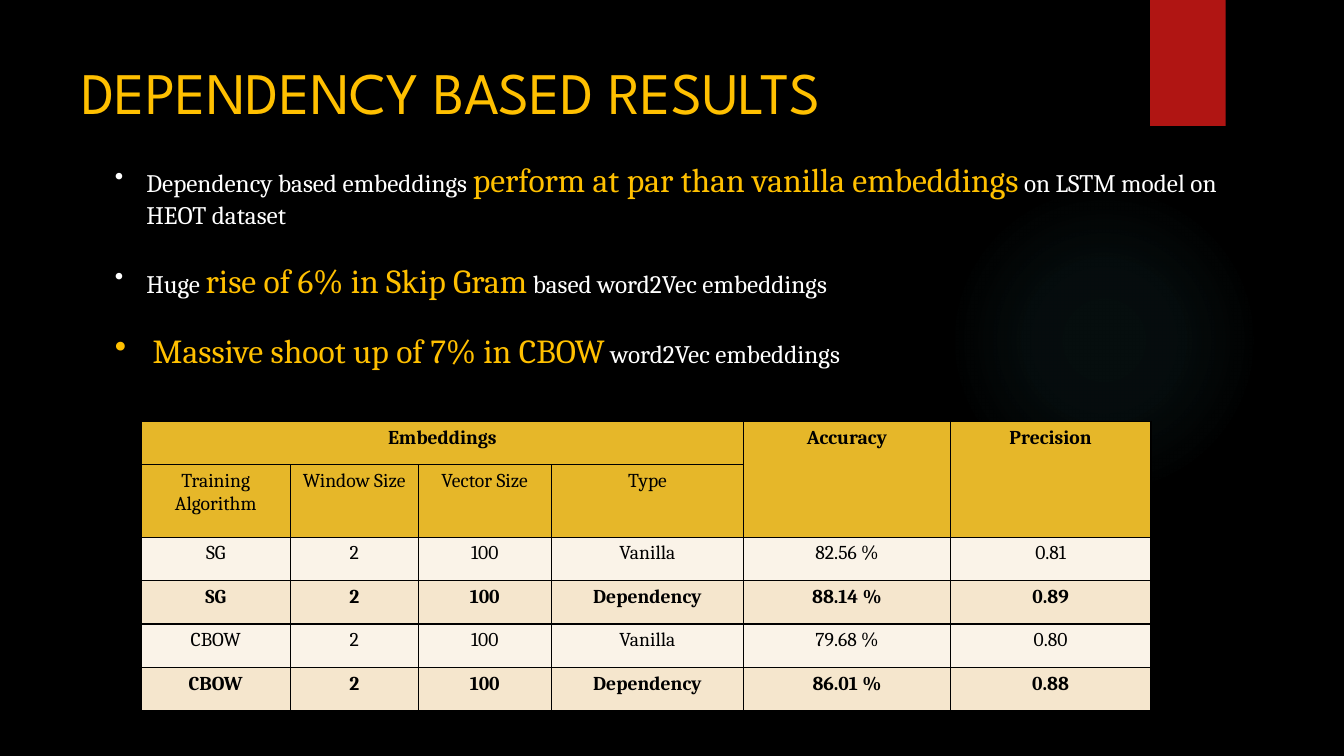
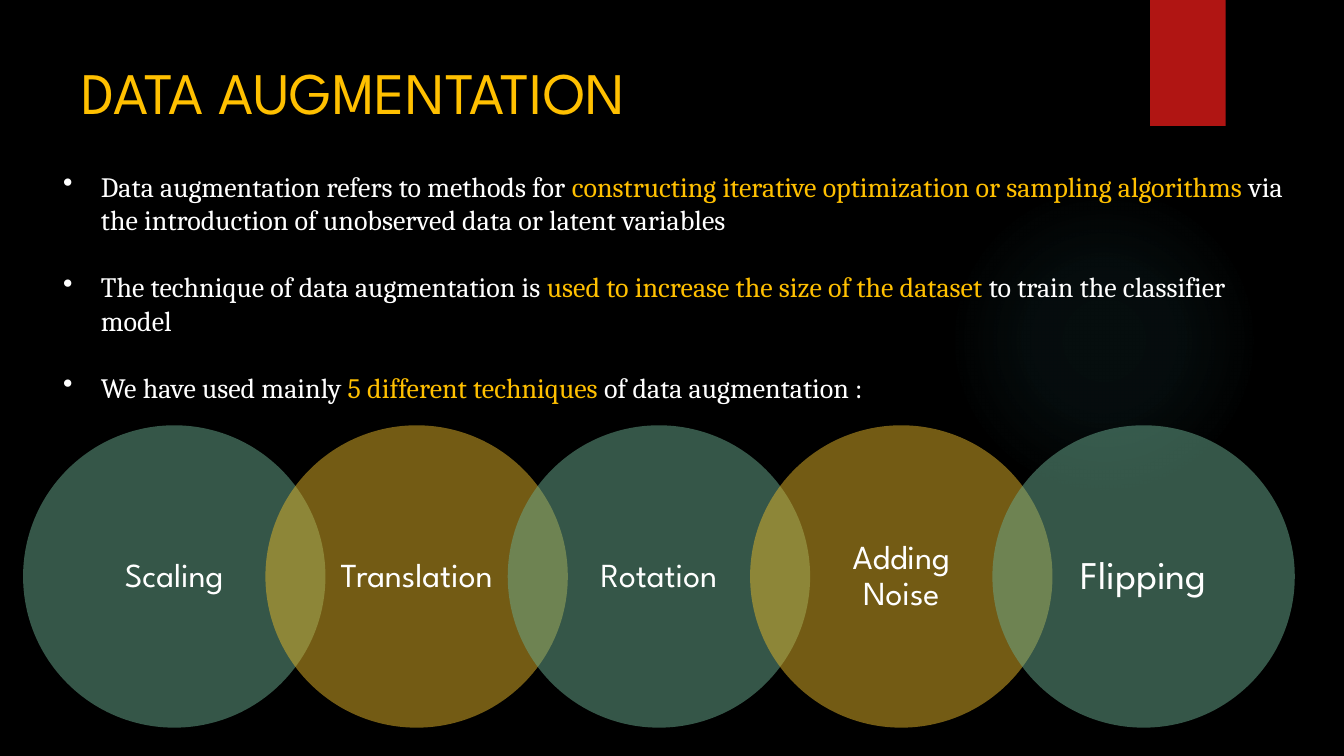
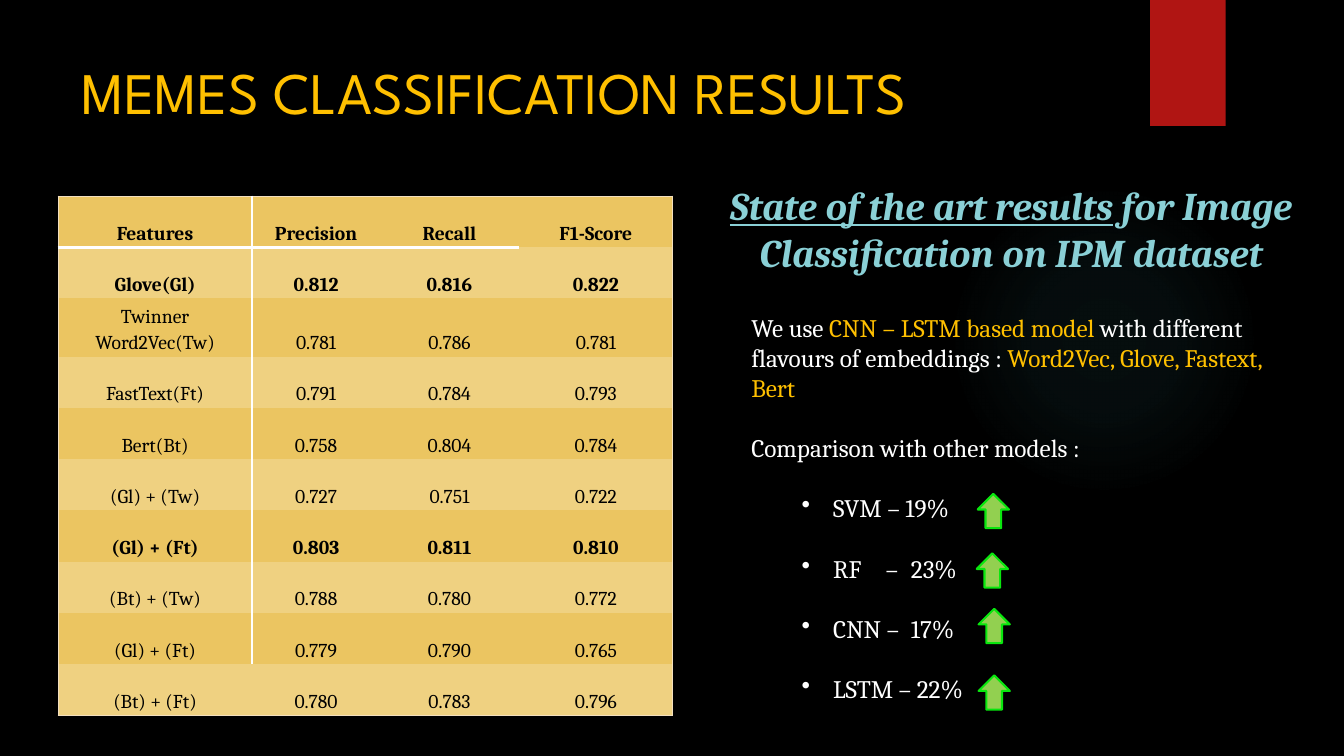
from lxml.etree import SubElement
from pptx import Presentation
from pptx.dml.color import RGBColor
from pptx.enum.shapes import MSO_SHAPE
from pptx.enum.text import MSO_ANCHOR, PP_ALIGN
from pptx.oxml import parse_xml
from pptx.oxml.ns import nsdecls, qn
from pptx.util import Pt

OVAL, RECT, ARROW = MSO_SHAPE.OVAL, MSO_SHAPE.RECTANGLE, MSO_SHAPE.UP_ARROW
TOP, MIDDLE, BOTTOM = MSO_ANCHOR.TOP, MSO_ANCHOR.MIDDLE, MSO_ANCHOR.BOTTOM
LEFT, CENTER = PP_ALIGN.LEFT, PP_ALIGN.CENTER

BLACK, WHITE, GOLD, RED = "000000", "FFFFFF", "FFC000", "B01513"
AMBER, GREEN, AQUA = "E6B729", "6AAC90", "8AD0D6"
CREAM, SAND, EDGE = "FAF3E8", "F5E6CD", "F3DFBE"
HONEY, STRAW = "EBC561", "EFD181"
NO_STYLE = "{2D5ABB26-0587-4C30-8999-92F81FD0307C}"


def tint(code):
    return RGBColor.from_string(code)


class Deck:
    serif, sans = "Cambria", "League Spartan"

    def __init__(self):
        self.show = Presentation()
        self.show.slide_width, self.show.slide_height = Pt(960), Pt(540)
        self.slide = None

    def start(self, title, tall=64):
        self.slide = self.show.slides.add_slide(self.show.slide_layouts[6])
        fill = self.slide.background.fill
        fill.solid()
        fill.fore_color.rgb = tint(BLACK)
        self.glow(677.5, 131.8, 221.8)
        self.shape(RECT, 821.5, 0, 54, 90, RED)
        frame = self.frame(51, 36, 741, tall)
        self.text(frame.paragraphs[0], title, 42, GOLD, font=self.sans)

    def shape(self, kind, x, y, wide, high, color, alpha=100, line=None):
        shape = self.slide.shapes.add_shape(kind, Pt(x), Pt(y), Pt(wide), Pt(high))
        shape.shadow.inherit = False
        shape.fill.solid()
        shape.fill.fore_color.rgb = tint(color)
        if alpha < 100:
            fill = shape.element.spPr.find(qn("a:solidFill"))
            SubElement(fill[0], qn("a:alpha"), val=str(alpha * 1000))
        if line:
            shape.line.color.rgb = tint(line)
            shape.line.width = Pt(1.5)
        else:
            shape.line.fill.background()
        return shape

    def glow(self, x, y, size):
        shape = self.shape(OVAL, x, y, size, size, AQUA)
        stops = "".join(
            f'<a:gs pos="{place * 1000}"><a:srgbClr val="50B9C1">'
            f'<a:alpha val="{alpha * 1000}"/></a:srgbClr></a:gs>'
            for place, alpha in ((0, 7), (36, 6), (69, 0), (100, 0)))
        fade = parse_xml(
            f'<a:gradFill {nsdecls("a")}><a:gsLst>{stops}</a:gsLst>'
            '<a:path path="circle"><a:fillToRect l="50000" t="50000" '
            'r="50000" b="50000"/></a:path></a:gradFill>')
        props = shape.element.spPr
        props.replace(props.find(qn("a:solidFill")), fade)

    def frame(self, x, y, wide, high):
        box = self.slide.shapes.add_textbox(Pt(x), Pt(y), Pt(wide), Pt(high))
        box.text_frame.word_wrap = True
        box.text_frame.vertical_anchor = TOP
        return box.text_frame

    def text(self, para, words, size, color=WHITE, hot=GOLD, big=None,
             font=None, bold=False, align=LEFT):
        para.alignment = align
        for spot, part in enumerate(words.split("*")):
            if not part:
                continue
            run = para.add_run()
            run.text = part
            face = run.font
            face.name, face.bold = font or self.serif, bold
            face.size = Pt(big if big and spot % 2 else size)
            face.color.rgb = tint(hot if spot % 2 else color)

    def list(self, frame, items, size, gap, big=None):
        for spot, (words, left, hang, stops) in enumerate(items):
            para = frame.add_paragraph() if spot else frame.paragraphs[0]
            if spot:
                para.space_before = Pt(gap)
            props = para._p.get_or_add_pPr()
            if hang:
                props.set("marL", str(Pt(left)))
                props.set("indent", str(-Pt(hang)))
                SubElement(props, qn("a:buChar"), char="•")
            if stops:
                tabs = SubElement(props, qn("a:tabLst"))
                for stop in stops:
                    SubElement(tabs, qn("a:tab"), pos=str(Pt(stop)), algn="l")
            self.text(para, words, size, big=big)

    def table(self, x, y, cols, rows, data, fills, bold, edges, inset, anchor, space):
        frame = self.slide.shapes.add_table(
            len(rows), len(cols), Pt(x), Pt(y), Pt(sum(cols)), Pt(sum(rows)))
        table = frame.table
        table.first_row = table.horz_banding = False
        frame.element.find(".//" + qn("a:tableStyleId")).text = NO_STYLE
        for col, wide in zip(table.columns, cols):
            col.width = Pt(wide)
        for row, high in zip(table.rows, rows):
            row.height = Pt(high)
        for r, line in enumerate(data):
            for c, words in enumerate(line):
                cell = table.cell(r, c)
                cell.margin_left = cell.margin_right = Pt(inset[0])
                cell.margin_top = cell.margin_bottom = Pt(inset[1])
                cell.vertical_anchor = anchor
                for side, (color, width) in edges(r, c).items():
                    self.edge(cell, side, color, width)
                cell.fill.solid()
                cell.fill.fore_color.rgb = tint(fills[r])
                para = cell.text_frame.paragraphs[0]
                para.line_spacing = space
                self.text(para, words, 14, BLACK, bold=r in bold, align=CENTER)
        return table

    def edge(self, cell, side, color, width):
        props = cell._tc.get_or_add_tcPr()
        line = SubElement(props, qn("a:ln" + side), w=str(Pt(width)))
        fill = SubElement(line, qn("a:solidFill"))
        SubElement(fill, qn("a:srgbClr"), val=color)


def vector(deck):
    deck.start("DEPENDENCY BASED RESULTS")
    data = [
        ("Embeddings", "", "", "", "Accuracy", "Precision"),
        ("Training Algorithm", "Window Size", "Vector Size", "Type", "", ""),
        ("SG", "2", "100", "Vanilla", "82.56 %", "0.81"),
        ("SG", "2", "100", "Dependency", "88.14 %", "0.89"),
        ("CBOW", "2", "100", "Vanilla", "79.68 %", "0.80"),
        ("CBOW", "2", "100", "Dependency", "86.01 %", "0.88"),
    ]
    table = deck.table(
        100.8, 301, (106.6, 91.4, 95, 137.5, 147.6, 143.3),
        (31, 51.8, 31, 31, 31, 31), data,
        (AMBER, AMBER, CREAM, SAND, CREAM, SAND), (0, 3, 5),
        lambda r, c: {side: (BLACK, 1) for side in "LRTB"}, (7.2, 3.6), TOP, 1)
    for first, last in (((0, 0), (0, 3)), ((0, 4), (1, 4)), ((0, 5), (1, 5))):
        table.cell(*first).merge(table.cell(*last))
    deck.list(deck.frame(75, 110.2, 824.4, 160), [
        ("Dependency based embeddings *perform at par than vanilla embeddings*"
         " on LSTM model on HEOT dataset", 22.5, 22.5, ()),
        ("Huge *rise of 6% in Skip Gram* based word2Vec embeddings", 22.5, 22.5, ()),
        ("*Massive shoot up of 7% in CBOW* word2Vec embeddings", 27, 27, ()),
    ], 18, 21.4, 24)


def growth(deck):
    deck.start("DATA AUGMENTATION", 110)
    names = ("Scaling", "Translation", "Rotation", "Adding Noise", "Flipping")
    for spot, name in enumerate(names):
        color = AMBER if spot % 2 else GREEN
        disc = deck.shape(OVAL, 16.5 + 173.1 * spot, 303.8, 216, 216, color, 50)
        frame = disc.text_frame
        frame.word_wrap = True
        frame.vertical_anchor = MIDDLE
        frame.margin_left = frame.margin_right = Pt(12)
        frame.margin_top = frame.margin_bottom = Pt(2.4)
        para = frame.paragraphs[0]
        para.line_spacing = 0.9
        size = 28 if name == "Flipping" else 24
        deck.text(para, name, size, font=deck.sans, align=CENTER)
    deck.list(deck.frame(38, 117.4, 887, 177), [
        ("Data augmentation refers to methods for *constructing iterative optimization"
         " or sampling algorithms* via the introduction of unobserved data or latent"
         " variables", 27, 27, ()),
        ("The technique of data augmentation is *used to increase the size of the"
         " dataset* to train the classifier model", 27, 27, ()),
        ("We have used mainly *5 different techniques* of data augmentation :",
         27, 27, ()),
    ], 20, 23.8)


def memes(deck):
    deck.start("MEMES CLASSIFICATION RESULTS")
    data = [
        ("Features", "Precision", "Recall", "F1-Score"),
        ("Glove(Gl)", "0.812", "0.816", "0.822"),
        ("Twinner Word2Vec(Tw)", "0.781", "0.786", "0.781"),
        ("FastText(Ft)", "0.791", "0.784", "0.793"),
        ("Bert(Bt)", "0.758", "0.804", "0.784"),
        ("(Gl) + (Tw)", "0.727", "0.751", "0.722"),
        ("(Gl) + (Ft)", "0.803", "0.811", "0.810"),
        ("(Bt) + (Tw)", "0.788", "0.780", "0.772"),
        ("(Gl) + (Ft)", "0.779", "0.790", "0.765"),
        ("(Bt) + (Ft)", "0.780", "0.783", "0.796"),
    ]
    last = len(data) - 1

    def edges(r, c):
        rules = (
            ("L", c == 0, EDGE, 0.75),
            ("R", c == 3, EDGE, 0.75),
            ("R", c == 0 and r < last, WHITE, 1.5),
            ("T", r == 0, EDGE, 0.75),
            ("B", r == 0 and c < 3, WHITE, 2.25),
            ("B", r == last, EDGE, 0.75),
        )
        return {side: (color, width) for side, on, color, width in rules if on}

    rows = [40.8 if r == 2 else 36.6 for r in range(len(data))]
    deck.table(41.5, 140, (138.6, 91.4, 99.2, 110), rows, data,
               (HONEY, STRAW) * 5, (0, 1, 6), edges, (2, 1.5), BOTTOM, 1.15)
    deck.list(deck.frame(529.6, 219.2, 403.2, 292), [
        ("We use *CNN – LSTM based model* with different flavours of embeddings :"
         " *Word2Vec, Glove, Fastext, Bert*", 0, 0, ()),
        ("Comparison with other models :", 0, 0, ()),
        ("SVM – 19%", 58.5, 22.5, ()),
        ("RF\t–\t23%", 58.5, 22.5, (96, 114)),
        ("CNN –\t17%", 58.5, 22.5, (114,)),
        ("LSTM – 22%", 58.5, 22.5, ()),
    ], 18, 21.4)
    head = deck.frame(511.2, 126, 422, 75).paragraphs[0]
    deck.text(head, "*State of the art results* for Image Classification on IPM dataset",
              28, AQUA, AQUA, bold=True, align=CENTER)
    for run in head.runs:
        run.font.italic = True
    head.runs[0].font.underline = True
    for x, y in ((698.4, 352.8), (697.7, 395.3), (699, 434.9), (699, 482.4)):
        deck.shape(ARROW, x, y, 22.3, 24.5, "92D050", line="09E70E")


def main():
    deck = Deck()
    vector(deck)
    growth(deck)
    memes(deck)
    deck.show.save("out.pptx")


if __name__ == "__main__":
    main()
